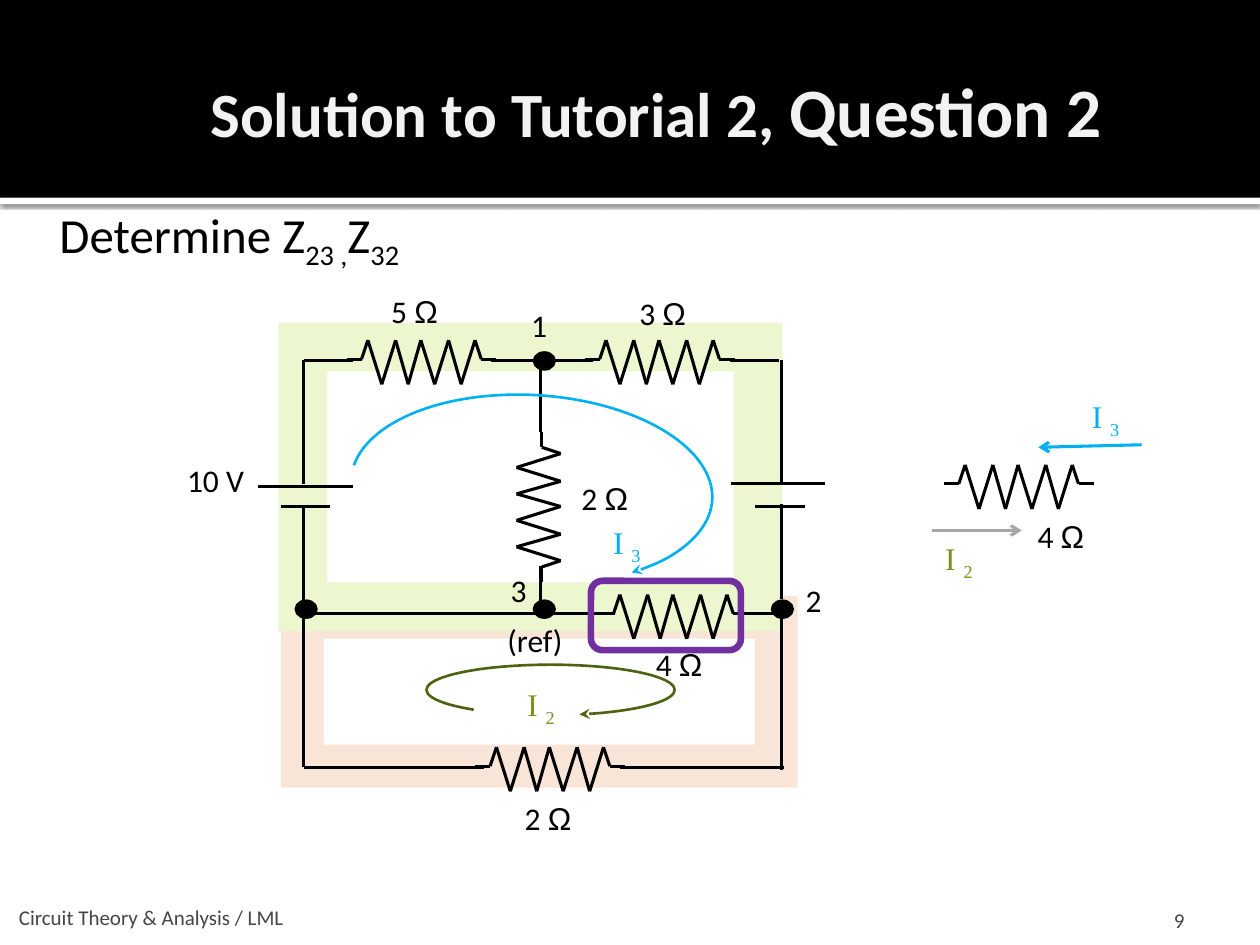
from itertools import pairwise

from pptx import Presentation
from pptx import util as u
from pptx.dml.color import RGBColor
from pptx.enum import shapes, text
from pptx.oxml import parse_xml
from pptx.oxml.ns import nsdecls

COLORS = {
    "black": "000000", "white": "FFFFFF", "title": "F2F2F2", "footer": "454545",
    "upper_loop": "ECF7D0", "lower_loop": "F9E4D8", "highlight": "7030A0",
    "current3": "00B0F0", "current2": "72951A", "current2_arc": "4C6312",
    "gray": "A6A6A6",
}
WIRE = 1.75
SHAPE = shapes.MSO_SHAPE
ALIGN = text.PP_ALIGN
ANCHOR = text.MSO_ANCHOR

# Resistor outline: (along its axis, across it), from the first lead
ZIGZAG = (
    [(0, 0), (0.12, 0), (0.17, -0.15)]
    + [(round(0.28 + 0.105 * i, 2), -0.15 if i % 2 else 0.2) for i in range(8)]
    + [(1.07, 0), (1.19, 0)]
)


def rgb(name):
    return RGBColor.from_string(COLORS[name])


def add_arrowhead(line, kind):
    line._get_or_add_ln().append(
        parse_xml(f'<a:tailEnd {nsdecls("a")} type="{kind}"/>'))


def add_figure(parent, kind, box, fill=None, line=None, width=WIRE,
               adjust=(), rotation=0, arrow=None):
    shape = parent.add_shape(kind, *map(u.Inches, box))
    shape.shadow.inherit = False
    shape.rotation = rotation
    for index, value in enumerate(adjust):
        shape.adjustments[index] = value
    if fill:
        shape.fill.solid()
        shape.fill.fore_color.rgb = rgb(fill)
    else:
        shape.fill.background()
    if line:
        shape.line.color.rgb = rgb(line)
        shape.line.width = u.Pt(width)
    else:
        shape.line.fill.background()
    if arrow:
        add_arrowhead(shape.line, arrow)
    return shape


def add_line(parent, start, end, color="black", arrow=None):
    connector = parent.add_connector(
        shapes.MSO_CONNECTOR.STRAIGHT, *map(u.Inches, (*start, *end)))
    connector.line.color.rgb = rgb(color)
    connector.line.width = u.Pt(WIRE)
    connector._element.spPr.append(parse_xml(f'<a:effectLst {nsdecls("a")}/>'))
    if arrow:
        add_arrowhead(connector.line, arrow)


def add_resistor(parent, x, y, vertical=False):
    group = parent.add_group_shape().shapes
    points = [(x - across, y + along) if vertical else (x + along, y + across)
              for along, across in ZIGZAG]
    for start, end in pairwise(points):
        add_line(group, start, end)
    return group


def write_text(shape, runs, size=18, font="Calibri", color="black", bold=False,
               align=ALIGN.CENTER, anchor=ANCHOR.TOP, insets=(0, 0, 0, 0),
               wrap=False, grow=True):
    """Fill a shape with runs of (text, format overrides)."""
    frame = shape.text_frame
    frame.word_wrap = wrap
    frame.auto_size = (text.MSO_AUTO_SIZE.SHAPE_TO_FIT_TEXT if grow
                       else text.MSO_AUTO_SIZE.NONE)
    frame.vertical_anchor = anchor
    (frame.margin_left, frame.margin_top,
     frame.margin_right, frame.margin_bottom) = map(u.Inches, insets)
    paragraph = frame.paragraphs[0]
    paragraph.alignment = align
    for words, changes in runs:
        run = paragraph.add_run()
        run.text = words
        run.font.name = changes.get("font", font)
        run.font.size = u.Pt(changes.get("size", size))
        run.font.bold = bold
        run.font.color.rgb = rgb(color)
        if changes.get("subscript"):
            run._r.get_or_add_rPr().set("baseline", "-25000")


def add_label(parent, box, runs, **text_format):
    if isinstance(runs, str):
        runs = [(runs, {})]
    write_text(parent.add_textbox(*map(u.Inches, box)), runs, **text_format)


def add_ohms(parent, x, y, value):
    add_label(parent, (x, y, 0.4, 0.3),
              [(f"{value} ", {}), ("Ω", {"font": "Arial"})])


def add_current(parent, box, index, color):
    add_label(parent, box, [("I ", {}), (index, {"subscript": True})],
              font="Times New Roman", color=color, wrap=True)


def add_header(slide):
    strip = add_figure(slide.shapes, SHAPE.RECTANGLE, (0, 1.57, 10, 0.05), "white")
    strip._element.spPr.find(".//{*}effectLst").append(parse_xml(
        f'<a:outerShdw {nsdecls("a")} blurRad="{u.Pt(2.5)}" dist="{u.Pt(0.8)}" '
        'dir="5400000" algn="t" rotWithShape="0"><a:srgbClr val="000000">'
        '<a:alpha val="60000"/></a:srgbClr></a:outerShdw>'))
    add_figure(slide.shapes, SHAPE.RECTANGLE, (0, 0, 10, 1.57), "black")
    title = slide.shapes.title
    slide.shapes._spTree.append(title._element)  # in front of the band
    title.left, title.top, title.width, title.height = map(
        u.Inches, (0.22, 0.41, 9.03, 0.92))
    write_text(title, [("Solution to Tutorial 2, ", {}), ("Question 2", {"size": 39.6})],
               size=36, color="title", bold=True, align=ALIGN.LEFT,
               anchor=ANCHOR.MIDDLE, insets=(1.45, 0.05, 0.05, 0.05),
               wrap=True, grow=False)


def add_circuit(canvas):
    # Loop bands
    add_figure(canvas, SHAPE.FRAME, (2.23, 4.73, 4.1, 1.52), "lower_loop", adjust=[0.223])
    add_figure(canvas, SHAPE.FRAME, (2.21, 2.56, 4, 2.45), "upper_loop", adjust=[0.158])

    # Wires
    left, middle, right = 2.41, 4.29, 6.2
    top, center, bottom = 2.86, 4.87, 6.09
    for start, end in (
        ((2.8, top), (left, top)), ((4.3, top), (3.9, top)),
        ((4.71, top), (4.31, top)), ((6.18, top), (5.79, top)),
        ((left, center), (4.88, center)), ((6.22, center), (5.83, center)),
        ((left, bottom), (3.84, bottom)), ((4.92, bottom), (6.22, bottom)),
        ((left, top), (left, 3.84)), ((left, 4.01), (left, 4.88)),
        ((left, center), (left, bottom)),
        ((middle, 3.43), (middle, 2.84)), ((middle, 4.49), (middle, 4.89)),
        ((right, top), (right, 3.84)), ((right, 4), (right, 4.75)),
        ((right, 4.89), (right, 6.11)),
        # Battery plates
        ((2.8, 3.86), (2.05, 3.86)), ((2.62, 4.02), (2.23, 4.02)),
        ((6.55, 3.84), (5.8, 3.84)), ((6.39, 4.02), (5.99, 4.02)),
    ):
        add_line(canvas, start, end)

    # Resistors and their values
    add_resistor(canvas, 4.3, 3.43, vertical=True)
    for x, y in ((2.75, 2.85), (4.64, 2.85), (4.75, 4.87), (3.77, 6.08)):
        add_resistor(canvas, x, y)
    for x, y, value in ((4.6, 3.8, 2), (3.09, 2.32, 5), (5.06, 2.33, 3),
                        (5.19, 5.12, 4), (4.15, 6.34, 2)):
        add_ohms(canvas, x, y, value)

    # Nodes and their names
    for x, y in ((4.24, 2.8), (2.35, 4.77), (4.24, 4.77), (6.13, 4.77)):
        add_figure(canvas, SHAPE.OVAL, (x, y, 0.16, 0.13), "black", "black")
    for x, y, width, name in ((4.21, 2.43, 0.14, "1"), (4.04, 4.53, 0.21, "3 "),
                              (6.29, 4.61, 0.39, "2 "), (4.01, 4.93, 0.53, "(ref) "),
                              (1.45, 3.66, 0.52, "10 V")):
        add_label(canvas, (x, y, width, 0.3), name)

    # Shared branch and loop currents
    add_figure(canvas, SHAPE.ROUNDED_RECTANGLE, (4.69, 4.61, 1.19, 0.55),
               line="highlight", width=3.78)
    add_figure(canvas, SHAPE.ARC, (3.47, 2.45, 1.5, 2.87), line="current3", width=1.5,
               adjust=(164.687, 75.84), rotation=273.3, arrow="stealth")
    add_current(canvas, (4.66, 4.15, 0.63, 0.29), "3", "current3")
    add_figure(canvas, SHAPE.ARC, (4.17, 4.49, 0.4, 1.97), line="current2_arc", width=1.5,
               adjust=(153.34, 78.148), rotation=270, arrow="stealth")
    add_current(canvas, (3.98, 5.44, 0.63, 0.3), "2", "current2")


def add_branch_detail(canvas):
    group = add_resistor(canvas, 7.49, 3.84)
    add_ohms(group, 8.22, 4.1, 4)
    add_current(canvas, (8.41, 3.15, 0.73, 0.3), "3", "current3")
    add_line(canvas, (9.06, 3.53), (8.24, 3.55), "current3", "arrow")
    add_current(canvas, (7.4, 4.28, 0.42, 0.3), "2", "current2")
    add_line(canvas, (7.4, 4.21), (8.11, 4.21), "gray", "arrow")


def main():
    presentation = Presentation()
    presentation.slide_width, presentation.slide_height = u.Inches(10), u.Inches(7.5)
    slide = presentation.slides.add_slide(presentation.slide_layouts[5])
    canvas = slide.shapes

    add_header(slide)
    add_label(canvas, (0.38, 1.62, 2.88, 0.47),
              [("Determine Z", {}), ("23 ,", {"subscript": True}),
               ("Z", {}), ("32", {"subscript": True})], size=28)
    add_circuit(canvas)
    add_branch_detail(canvas)

    # Footer
    footer = {"size": 12, "color": "footer", "anchor": ANCHOR.BOTTOM,
              "wrap": True, "grow": False}
    add_label(canvas, (0.1, 7.08, 6.02, 0.3), "Circuit Theory & Analysis / LML",
              align=ALIGN.LEFT, insets=(0.05, 0.05, 0.05, 0), **footer)
    add_label(canvas, (8.7, 7.1, 0.8, 0.3), "9",
              align=ALIGN.RIGHT, insets=(0.1, 0.05, 0.1, 0), **footer)

    presentation.save("out.pptx")


if __name__ == "__main__":
    main()
